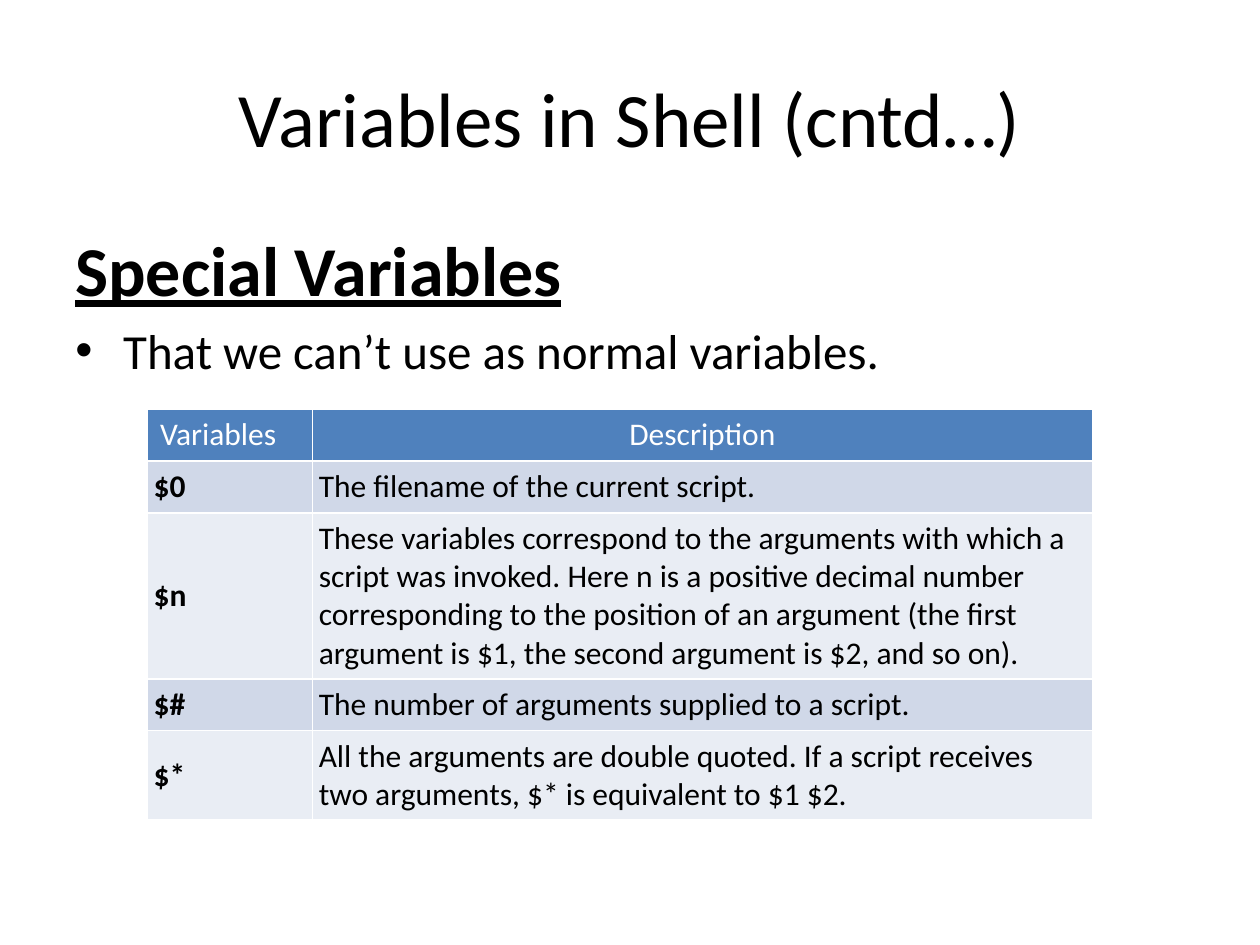
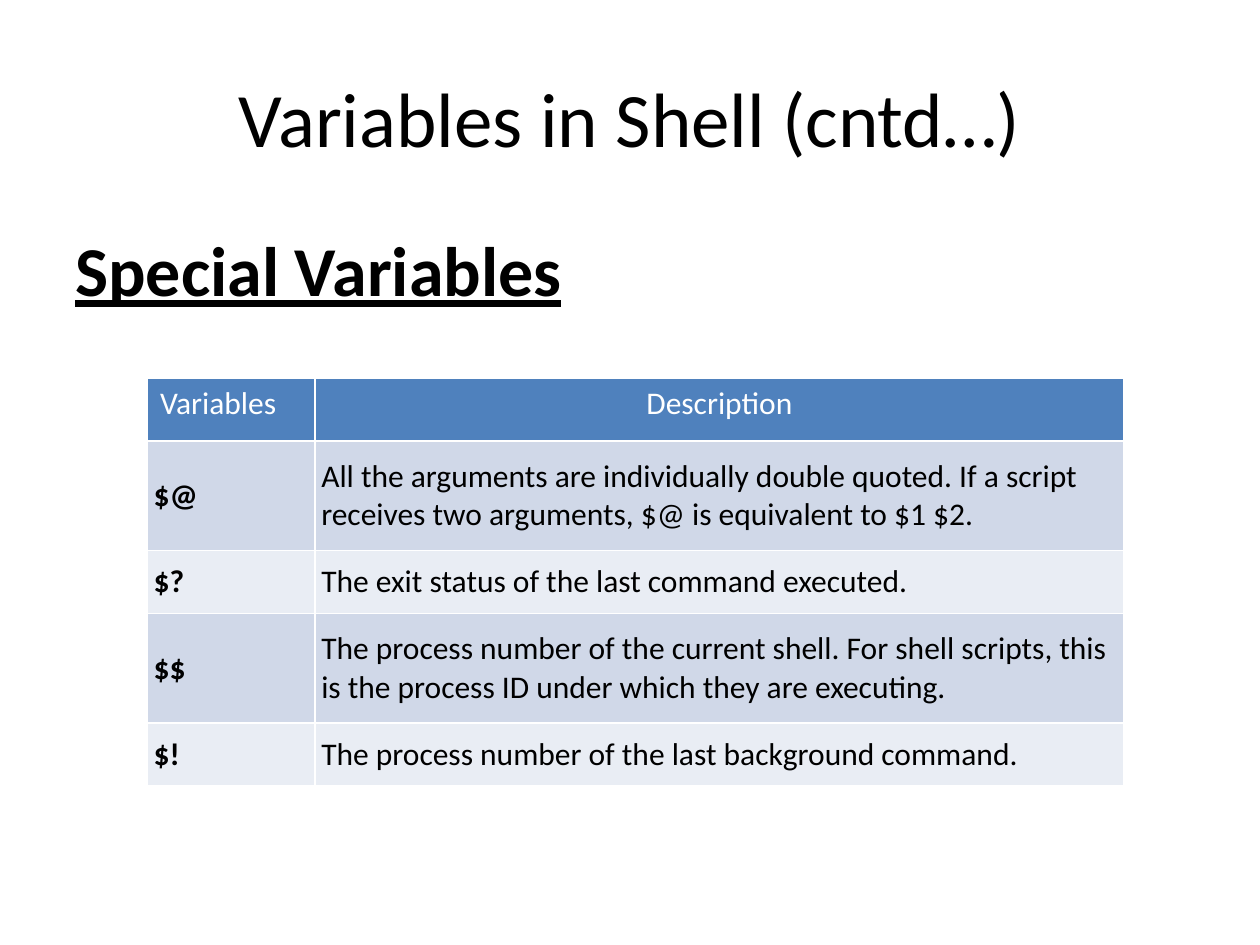
"""Build two slides on special shell variables."""
from lxml.etree import SubElement as Sub
from pptx import Presentation
from pptx.dml.color import RGBColor as RGB
from pptx.enum.text import MSO_ANCHOR as Anchor, PP_ALIGN as Align
from pptx.oxml.ns import qn
from pptx.util import Inches, Pt

BLACK, WHITE, BLUE = "000000", "FFFFFF", "4F81BD"
BANDS = ["D0D8E8", "E9EDF4"]
FONT = "Calibri"
TITLE = "Variables in Shell (cntd…)"
HEAD = "Special Variables"

PAGES = [
    dict(
        note="That we can’t use as normal variables.",
        top=3.25,
        cols=[1.31, 6.19],
        tall=[0.41, 0.41, 1.32, 0.41, 0.71],
        rows=[
            ("$0", "The filename of the current script."),
            ("$n", "These variables correspond to the arguments with which a "
                   "script was invoked. Here n is a positive decimal number "
                   "corresponding to the position of an argument (the first "
                   "argument is $1, the second argument is $2, and so on)."),
            ("$#", "The number of arguments supplied to a script."),
            ("$*", "All the arguments are double quoted. If a script receives "
                   "two arguments, $* is equivalent to $1 $2."),
        ],
    ),
    dict(
        note="",
        top=3,
        cols=[1.33, 6.42],
        tall=[0.5, 0.87, 0.5, 0.87, 0.5],
        rows=[
            ("$@", "All the arguments are individually double quoted. If a script "
                   "receives two arguments, $@ is equivalent to $1 $2."),
            ("$?", "The exit status of the last command executed."),
            ("$$", "The process number of the current shell. For shell scripts, "
                   "this is the process ID under which they are executing."),
            ("$!", "The process number of the last background command."),
        ],
    ),
]


def color(code):
    return RGB.from_string(code)


def write(para, text, size=18, ink=BLACK, bold=False, under=False,
          align=Align.LEFT, before=0, bullet=False):
    para.alignment = align
    para.space_before = Pt(before)
    run = para.add_run()
    run.text = text
    font = run.font
    font.name, font.size, font.bold, font.underline = FONT, Pt(size), bold, under
    font.color.rgb = color(ink)
    if bullet:
        props = para._p.get_or_add_pPr()
        props.set("marL", str(Inches(0.38)))
        props.set("indent", str(-Inches(0.38)))
        Sub(props, qn("a:buFont"), typeface="Arial")
        Sub(props, qn("a:buChar"), char="•")


deck = Presentation()
deck.slide_width, deck.slide_height = Inches(10), Inches(7.5)

for page in PAGES:
    slide = deck.slides.add_slide(deck.slide_layouts[6])
    shapes = slide.shapes

    title = shapes.add_textbox(Inches(0.5), Inches(0.3), Inches(9), Inches(1.25)).text_frame
    title.word_wrap = True
    title.vertical_anchor = Anchor.MIDDLE
    write(title.paragraphs[0], TITLE, size=44, align=Align.CENTER)

    body = shapes.add_textbox(Inches(0.5), Inches(1.75), Inches(9), Inches(4.95)).text_frame
    body.word_wrap = True
    write(body.paragraphs[0], HEAD, size=40, bold=True, under=True)
    if page["note"]:
        write(body.add_paragraph(), page["note"], size=28, before=5.6, bullet=True)

    rows = [("Variables", "Description")] + page["rows"]
    cols, tall = page["cols"], page["tall"]
    table = shapes.add_table(len(rows), len(cols), Inches(1.17), Inches(page["top"]),
                             Inches(sum(cols)), Inches(sum(tall))).table
    for col, width in zip(table.columns, cols):
        col.width = Inches(width)
    for row, height in zip(table.rows, tall):
        row.height = Inches(height)

    for r, texts in enumerate(rows):
        for c, text in enumerate(texts):
            cell = table.cell(r, c)
            props = cell._tc.get_or_add_tcPr()
            for side in "LRTB":
                line = Sub(props, qn(f"a:ln{side}"), w=str(Pt(1)))
                Sub(Sub(line, qn("a:solidFill")), qn("a:srgbClr"), val=WHITE)
            cell.fill.solid()
            cell.fill.fore_color.rgb = color(BANDS[(r - 1) % 2] if r else BLUE)
            para = cell.text_frame.paragraphs[0]
            if r:
                cell.vertical_anchor = Anchor.MIDDLE
                cell.margin_left = cell.margin_right = Inches(0.05)
                cell.margin_top = cell.margin_bottom = Inches(0.05)
                write(para, text, bold=c == 0)
            else:
                write(para, text, ink=WHITE, align=Align.CENTER if c else Align.LEFT)

deck.save("out.pptx")
